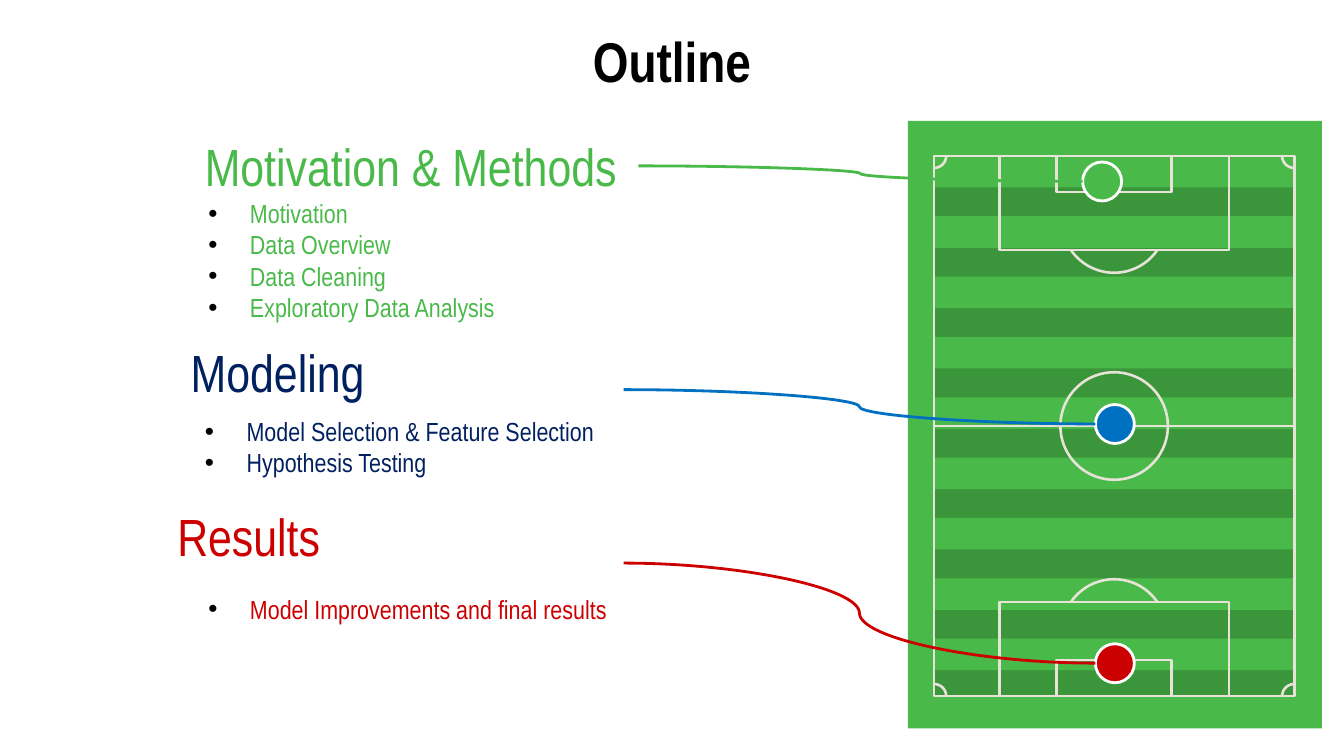
import math

import pptx
import pptx.util
import pptx.dml.color
import pptx.enum.shapes
import pptx.enum.text
import pptx.oxml
import pptx.oxml.ns
from lxml import etree

# Lengths are in grid units: 100 columns by 56.25 rows on the slide
COLS, ROWS = 100, 56.25
FONT = "Arial Narrow"
COLORS = {
    "black": "000000", "white": "FFFFFF", "grass": "49BA49", "chalk": "E8E3D9",
    "navy": "002060", "blue": "0070C0", "red": "CC0000",
}
SHAPE = pptx.enum.shapes.MSO_SHAPE
ALIGN = pptx.enum.text.PP_ALIGN
ANCHOR = pptx.enum.text.MSO_ANCHOR

# heading, heading box, text colour, bullets, bullet box, spot, spot colour, curve end
SECTIONS = [
    ("Motivation & Methods", (13.6, 9.6, 33.9, 5.5), "grass",
     ["Motivation", "Data Overview", "Data Cleaning", "Exploratory Data Analysis"],
     (15.5, 16.6, 33.9, 5.5), (80.55, 12.05), "grass", (47.5, 12.35)),
    ("Modeling", (-5.9, 25.25, 53.1, 4.8), "navy",
     ["Model Selection & Feature Selection", "Hypothesis Testing"],
     (15.25, 31.8, 32, 2.9), (81.5, 30.1), "blue", (46.4, 29)),
    ("Results", (5.25, 38.4, 26.5, 2.9), "red",
     ["Model Improvements and final results"],
     (15.5, 43.7, 37.5, 3.2), (81.5, 47.9), "red", (46.4, 41.9)),
]
SPOT = 2.9


def grid(n):
    return pptx.util.Inches(n / 10)


def rgb(name):
    return pptx.dml.color.RGBColor.from_string(COLORS[name])


def set_attrs(obj, values):
    for name, value in values.items():
        setattr(obj, name, value)


def place(shape, box):
    set_attrs(shape, dict(zip(("left", "top", "width", "height"), map(grid, box))))


def write(shape, lines, size, color, align, bold=False, insets=(0, 1, 0, 1),
          anchor=ANCHOR.MIDDLE, spacing=1.0):
    tf = shape.text_frame
    left, top, right, bottom = map(grid, insets)
    set_attrs(tf, {
        "auto_size": pptx.enum.text.MSO_AUTO_SIZE.NONE, "word_wrap": True,
        "vertical_anchor": anchor, "margin_left": left, "margin_top": top,
        "margin_right": right, "margin_bottom": bottom,
    })
    for i, line in enumerate(lines):
        p = tf.add_paragraph() if i else tf.paragraphs[0]
        set_attrs(p, {"alignment": align, "line_spacing": spacing,
                      "space_before": pptx.util.Pt(0)})
        r = p.add_run()
        r.text = line
        set_attrs(r.font, {"name": FONT, "size": pptx.util.Pt(size), "bold": bold})
        r.font.color.rgb = rgb(color)


def add_bullets(shape):
    for p in shape.text_frame.paragraphs:
        pPr = p._p.get_or_add_pPr()
        pPr.set("marL", str(grid(3.1)))
        pPr.set("indent", str(-grid(3.1)))
        color = etree.SubElement(pPr, pptx.oxml.ns.qn("a:buClr"))
        etree.SubElement(color, pptx.oxml.ns.qn("a:srgbClr"), val=COLORS["black"])
        etree.SubElement(pPr, pptx.oxml.ns.qn("a:buFont"), typeface="Arial")
        etree.SubElement(pPr, pptx.oxml.ns.qn("a:buChar"), char="•")


def add_solid(shapes, kind, box, fill, outline=None):
    shape = shapes.add_shape(kind, *map(grid, box))
    shape.shadow.inherit = False
    shape.fill.solid()
    shape.fill.fore_color.rgb = rgb(fill)
    if outline:
        shape.line.color.rgb = rgb(outline)
        shape.line.width = pptx.util.Pt(1.5)
    else:
        shape.line.fill.background()
    return shape


def add_curve(shapes, start, end, color):
    line = shapes.add_connector(pptx.enum.shapes.MSO_CONNECTOR.CURVE,
                                *map(grid, start + end))
    line.line.color.rgb = rgb(color)
    line.line.width = pptx.util.Pt(1.5)
    etree.SubElement(line._element.spPr, pptx.oxml.ns.qn("a:effectLst"))


def arc(x, y, radius, first, last):
    steps = max(8, round(abs(last - first) / 5))
    angles = [math.radians(first + (last - first) * i / steps) for i in range(steps + 1)]
    return [(x + radius * math.cos(a), y + radius * math.sin(a)) for a in angles]


def pitch_lines():
    left, right, top, middle = 69.5, 96.3, 11.6, 31.7
    center, bottom = (left + right) / 2, 2 * middle - top
    # The upper half is reflected in the halfway line
    half = [
        [(center - w, top), (center - w, y), (center + w, y), (center + w, top)]
        for w, y in ((8.55, 18.6), (4.28, 14.3))
    ]
    half += [arc(center, 16.4, 3.9, 34.4, 145.6),
             arc(left, top, 0.9, 0, 90), arc(right, top, 0.9, 90, 180)]
    mirrored = [[(x, 2 * middle - y) for x, y in line] for line in half]
    border = [(left, top), (right, top), (right, bottom), (left, bottom), (left, top)]
    return [border, [(left, middle), (right, middle)],
            arc(center, middle, 4, 0, 360)] + half + mirrored


def add_markings(shapes):
    lines = [[(grid(x), grid(y)) for x, y in line] for line in pitch_lines()]
    builder = shapes.build_freeform(*lines[0][0])
    for i, line in enumerate(lines):
        if i:
            builder.move_to(*line[0])
        builder.add_line_segments(line[1:], close=False)
    marks = builder.convert_to_shape()
    marks.shadow.inherit = False
    marks.fill.background()
    marks.line.color.rgb = rgb("chalk")
    marks.line.width = pptx.util.Pt(1.4)


def add_field(s):
    shapes = s.shapes.add_group_shape().shapes
    add_solid(shapes, SHAPE.RECTANGLE, (67.55, 9, 30.8, 45.2), "grass")
    # Dark turf under nine light stripes
    turf = add_solid(shapes, SHAPE.RECTANGLE, (69.5, 11.6, 26.8, 40.2), "black")
    shade = turf.fill._xPr.find(".//" + pptx.oxml.ns.qn("a:srgbClr"))
    etree.SubElement(shade, pptx.oxml.ns.qn("a:alpha"), val="19000")
    for i in range(9):
        add_solid(shapes, SHAPE.RECTANGLE, (69.5, 11.6 + 4.49 * i, 26.8, 2.35), "grass")
    add_markings(shapes)


def main():
    prs = pptx.Presentation()
    prs.slide_width, prs.slide_height = grid(COLS), grid(ROWS)
    s = prs.slides.add_slide(prs.slide_layouts.get_by_name("Comparison"))

    # Title
    title, *bodies = list(s.placeholders)
    place(title, (7.8, 3.2, 84.4, 4.5))
    write(title, ["Outline"], 30, "black", ALIGN.CENTER, bold=True,
          insets=(1, 0.9, 1, 0), anchor=ANCHOR.TOP, spacing=0.5)

    # Football field
    add_field(s)

    # Sections, each tied to its spot on the field
    for body, section in zip(bodies, SECTIONS):
        heading, box, color, items, list_box, spot, spot_color, end = section
        write(s.shapes.add_textbox(*map(grid, box)), [heading], 28, color, ALIGN.CENTER)
        place(body, list_box)
        write(body, items, 14, color, ALIGN.LEFT)
        add_bullets(body)
        add_solid(s.shapes, SHAPE.OVAL, (*spot, SPOT, SPOT), spot_color, "white")
        add_curve(s.shapes, (spot[0], spot[1] + SPOT / 2), end, spot_color)

    # Unused placeholders
    for body in bodies[len(SECTIONS):]:
        body._element.getparent().remove(body._element)

    prs.save("out.pptx")


if __name__ == "__main__":
    main()
